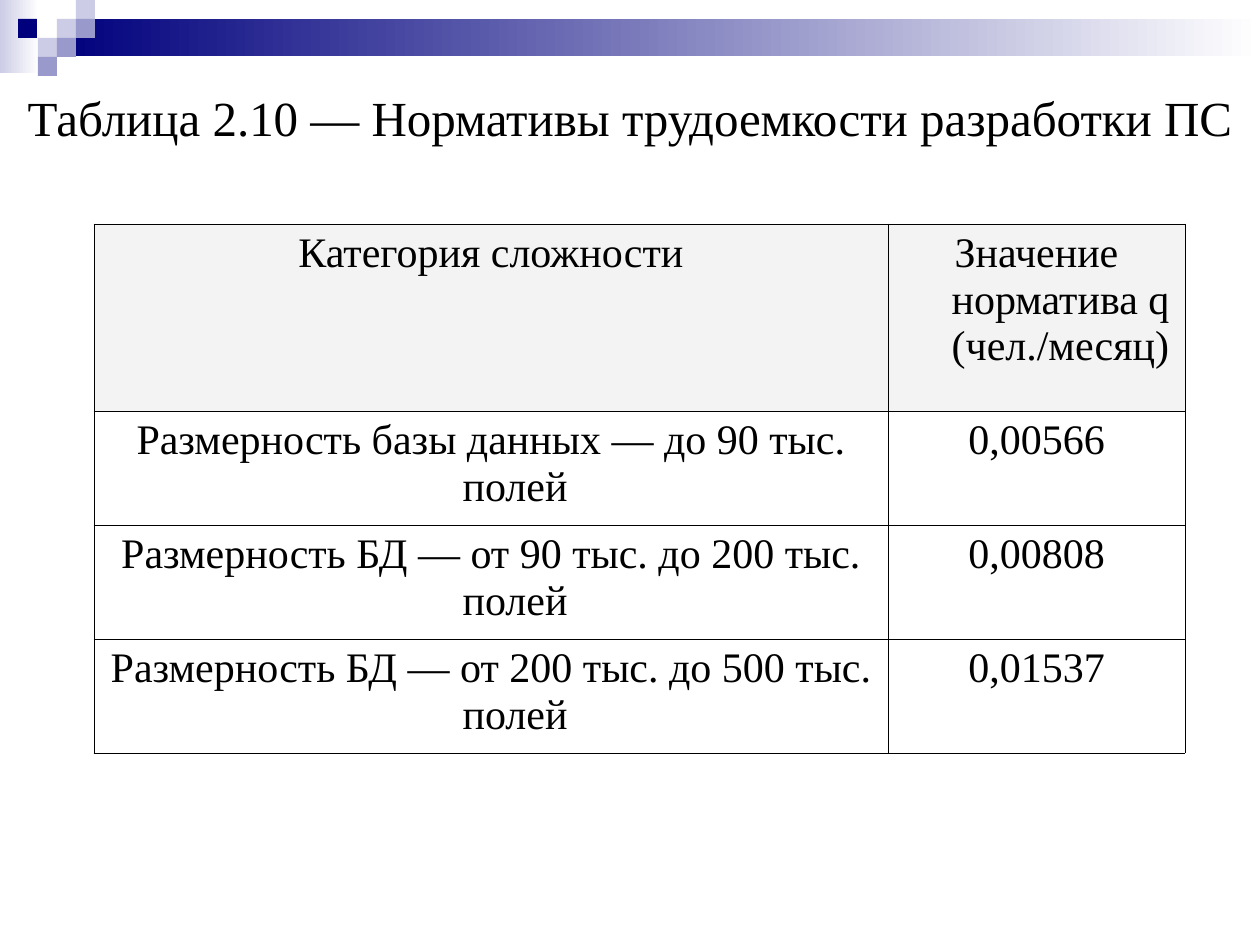
import dataclasses

import lxml.etree
import pptx
import pptx.dml.color
import pptx.enum.shapes
import pptx.enum.text
import pptx.oxml.ns
import pptx.util

EMU_PER_PX = 914400 / 126
FONT = "Times New Roman"
COLORS = {
    "navy": "00007D",
    "violet": "9999CC",
    "lavender": "CCCCE6",
    "white": "FFFFFF",
    "header": "F3F3F3",
    "ink": "000000",
}
HANGING_INDENT = 48
BORDER_WIDTH = pptx.util.Pt(0.45)


@dataclasses.dataclass(frozen=True)
class Block:
    """A rectangle in px; with fade_to set, it blends from left to right."""
    left: int
    top: int
    width: int
    height: int
    color: str
    fade_to: str = ""


@dataclasses.dataclass(frozen=True)
class NormRow:
    category: str
    norm: str
    height: int
    fill: str = ""


SQUARE = 19
BANNER = [
    Block(0, 0, 39, 73, "lavender", "white"),
    Block(57, 19, 1203, 37, "navy", "white"),
    *[
        Block(left, top, SQUARE, SQUARE, color)
        for left, top, color in [
            (57, 19, "lavender"),
            (76, 0, "lavender"),
            (76, 19, "violet"),
            (38, 38, "lavender"),
            (18, 19, "navy"),
            (57, 38, "violet"),
            (38, 57, "violet"),
        ]
    ],
]

COLUMN_WIDTHS = [794, 297]
ROWS = [
    NormRow("Категория сложности", "Значение норматива q (чел./месяц)", 187, "header"),
    NormRow("Размерность базы данных — до 90 тыс. полей", "0,00566", 114),
    NormRow("Размерность БД — от 90 тыс. до 200 тыс. полей", "0,00808", 114),
    NormRow("Размерность БД — от 200 тыс. до 500 тыс. полей", "0,01537", 114),
]


def px(length: int) -> pptx.util.Emu:
    return pptx.util.Emu(round(length * EMU_PER_PX))


def rgb(name: str) -> pptx.dml.color.RGBColor:
    return pptx.dml.color.RGBColor.from_string(COLORS[name])


def set_all(target, values: dict) -> None:
    for name, value in values.items():
        setattr(target, name, value)


def draw_block(page, block: Block) -> None:
    shape = page.shapes.add_shape(
        pptx.enum.shapes.MSO_SHAPE.RECTANGLE,
        px(block.left), px(block.top), px(block.width), px(block.height),
    )
    shape.shadow.inherit = False
    shape.line.fill.background()
    if block.fade_to:
        shape.fill.gradient()
        shape.fill.gradient_angle = 0
        for stop, color in zip(shape.fill.gradient_stops, (block.color, block.fade_to)):
            stop.color.rgb = rgb(color)
    else:
        shape.fill.solid()
        shape.fill.fore_color.rgb = rgb(block.color)


def write_centred(frame, text: str, size: int) -> None:
    """Write one centred paragraph with a hanging indent and no bullet."""
    para = frame.paragraphs[0]
    set_all(para, {
        "alignment": pptx.enum.text.PP_ALIGN.CENTER,
        "space_before": pptx.util.Pt(0),
    })
    properties = para._p.get_or_add_pPr()
    properties.set("marL", str(px(HANGING_INDENT)))
    properties.set("indent", str(-px(HANGING_INDENT)))
    lxml.etree.SubElement(properties, pptx.oxml.ns.qn("a:buNone"))
    span = para.add_run()
    span.text = text
    set_all(span.font, {"name": FONT, "size": pptx.util.Pt(size), "bold": False})
    span.font.color.rgb = rgb("ink")


def add_borders(cell) -> None:
    properties = cell._tc.get_or_add_tcPr()
    for side in ("lnL", "lnR", "lnT", "lnB"):
        line = lxml.etree.SubElement(
            properties, pptx.oxml.ns.qn(f"a:{side}"), w=str(BORDER_WIDTH))
        fill = lxml.etree.SubElement(line, pptx.oxml.ns.qn("a:solidFill"))
        lxml.etree.SubElement(fill, pptx.oxml.ns.qn("a:srgbClr"), val=COLORS["ink"])


def draw_cell(cell, text: str, fill: str) -> None:
    add_borders(cell)
    if fill:
        cell.fill.solid()
        cell.fill.fore_color.rgb = rgb(fill)
    else:
        cell.fill.background()
    write_centred(cell.text_frame, text, 24)


def draw_table(page, left: int, top: int) -> None:
    table = page.shapes.add_table(
        len(ROWS), len(COLUMN_WIDTHS), px(left), px(top),
        px(sum(COLUMN_WIDTHS)), px(sum(row.height for row in ROWS)),
    ).table
    set_all(table, {"first_row": False, "horz_banding": False})
    for column, width in zip(table.columns, COLUMN_WIDTHS):
        column.width = px(width)
    for index, row in enumerate(ROWS):
        table.rows[index].height = px(row.height)
        for position, text in enumerate((row.category, row.norm)):
            draw_cell(table.cell(index, position), text, row.fill)


def draw_caption(page, text: str) -> None:
    box = page.placeholders[1]
    set_all(box, {"left": px(0), "top": px(76), "width": px(1260), "height": px(535)})
    set_all(box.text_frame, {
        "word_wrap": True,
        "auto_size": pptx.enum.text.MSO_AUTO_SIZE.NONE,
        "margin_top": px(11),
    })
    write_centred(box.text_frame, text, 28)


def main() -> None:
    deck = pptx.Presentation()
    set_all(deck, {"slide_width": px(1260), "slide_height": px(945)})
    page = deck.slides.add_slide(deck.slide_layouts[1])
    title = page.shapes.title
    title.element.getparent().remove(title.element)
    for block in BANNER:
        draw_block(page, block)
    draw_caption(page, "Таблица 2.10 — Нормативы трудоемкости разработки ПС")
    draw_table(page, 94, 224)
    deck.save("out.pptx")


if __name__ == "__main__":
    main()
